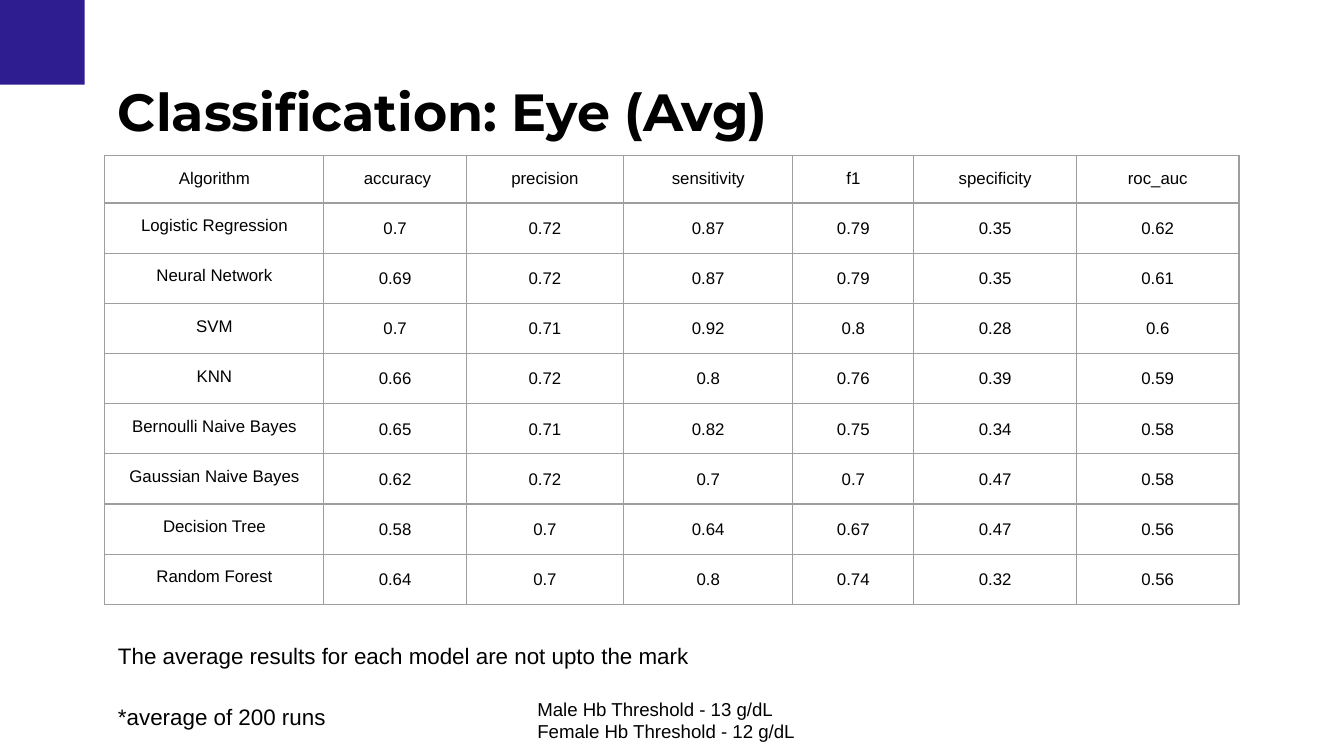
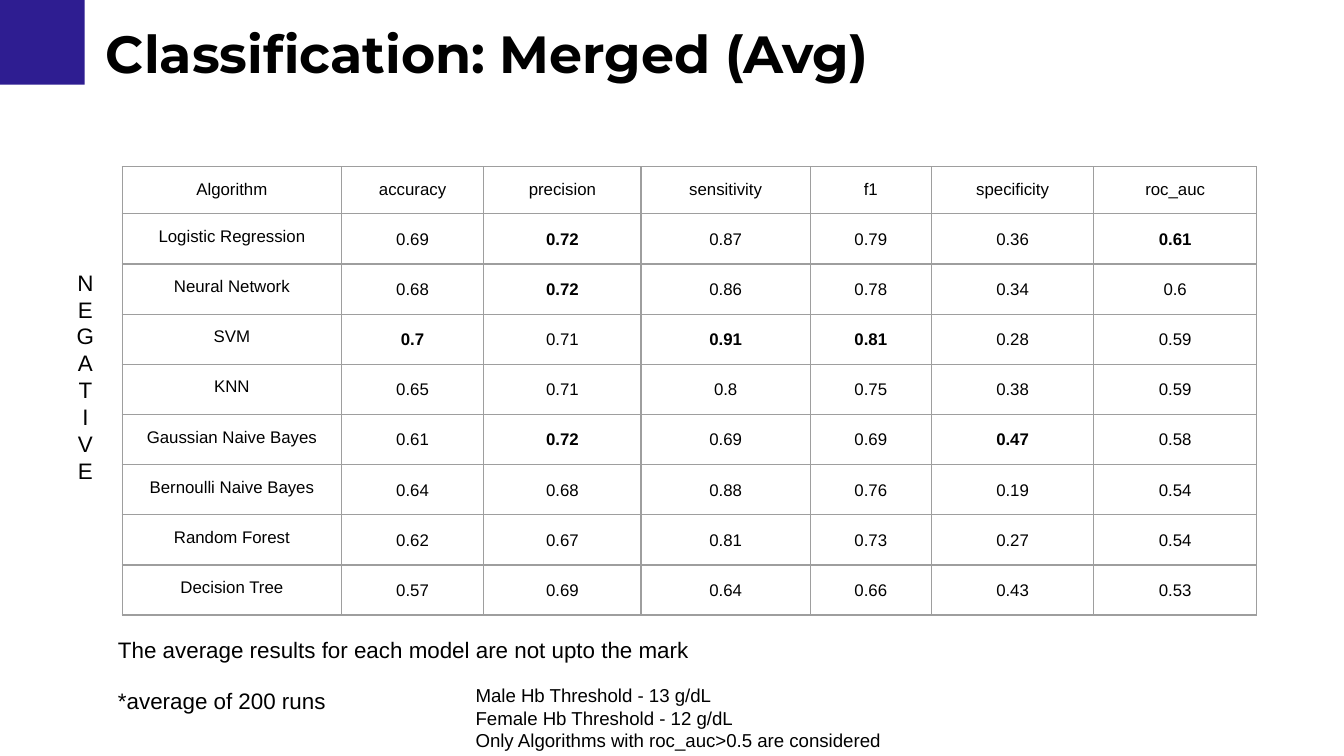
from lxml.etree import SubElement
from pptx import Presentation
from pptx.dml.color import RGBColor
from pptx.enum.shapes import MSO_SHAPE
from pptx.enum.text import MSO_ANCHOR, MSO_AUTO_SIZE, PP_ALIGN
from pptx.oxml.ns import qn
from pptx.util import Inches, Pt

HEADER = ["Algorithm", "accuracy", "precision", "sensitivity", "f1", "specificity", "roc_auc"]
COL_WIDTHS = [1.63, 1.06, 1.17, 1.26, 0.9, 1.21, 1.21]

EYE_SCORES = [
    ["Logistic Regression", 0.7, 0.72, 0.87, 0.79, 0.35, 0.62],
    ["Neural Network", 0.69, 0.72, 0.87, 0.79, 0.35, 0.61],
    ["SVM", 0.7, 0.71, 0.92, 0.8, 0.28, 0.6],
    ["KNN", 0.66, 0.72, 0.8, 0.76, 0.39, 0.59],
    ["Bernoulli Naive Bayes", 0.65, 0.71, 0.82, 0.75, 0.34, 0.58],
    ["Gaussian Naive Bayes", 0.62, 0.72, 0.7, 0.7, 0.47, 0.58],
    ["Decision Tree", 0.58, 0.7, 0.64, 0.67, 0.47, 0.56],
    ["Random Forest", 0.64, 0.7, 0.8, 0.74, 0.32, 0.56],
]
MERGED_SCORES = [
    ["Logistic Regression", 0.69, 0.72, 0.87, 0.79, 0.36, 0.61],
    ["Neural Network", 0.68, 0.72, 0.86, 0.78, 0.34, 0.6],
    ["SVM", 0.7, 0.71, 0.91, 0.81, 0.28, 0.59],
    ["KNN", 0.65, 0.71, 0.8, 0.75, 0.38, 0.59],
    ["Gaussian Naive Bayes", 0.61, 0.72, 0.69, 0.69, 0.47, 0.58],
    ["Bernoulli Naive Bayes", 0.64, 0.68, 0.88, 0.76, 0.19, 0.54],
    ["Random Forest", 0.62, 0.67, 0.81, 0.73, 0.27, 0.54],
    ["Decision Tree", 0.57, 0.69, 0.64, 0.66, 0.43, 0.53],
]
THRESHOLDS = ["Male Hb Threshold - 13 g/dL", "Female Hb Threshold - 12 g/dL"]
SUMMARY = "The average results for each model are not upto the mark"
RUNS_NOTE = "*average of 200 runs"


def color(value):
    return RGBColor.from_string(value)


class Deck:
    ACCENT, INK, GRID = "2E1D91", "000000", "9E9E9E"
    TITLE_FONT, BODY_FONT = "Montserrat", "Arial"
    INSET = Inches(0.1)

    def __init__(self):
        self.prs = Presentation()
        # 16:9 page
        self.prs.slide_width = Inches(10)
        self.prs.slide_height = Inches(10) * 9 // 16
        self.slide = None

    def new_slide(self, title, x, y):
        self.slide = self.prs.slides.add_slide(self.prs.slide_layouts[6])
        # Corner square
        sp = self.slide.shapes.add_shape(MSO_SHAPE.RECTANGLE, 0, 0, Inches(0.63), Inches(0.63))
        sp.shadow.inherit = False
        sp.fill.solid()
        sp.fill.fore_color.rgb = color(self.ACCENT)
        sp.line.fill.background()
        # Title
        self.text([title], x, y, 8.44, 0.67, 28, font=self.TITLE_FONT, bold=True)

    def format(self, p, size, font=BODY_FONT, bold=False, align=None):
        p.alignment = align
        for r in p.runs:
            r.font.name, r.font.size, r.font.bold = font, Pt(size), bold
            r.font.color.rgb = color(self.INK)

    def set_insets(self, box):
        box.margin_left = box.margin_right = self.INSET
        box.margin_top = box.margin_bottom = self.INSET

    def text(self, lines, x, y, w, h, size=12, grow=True, **style):
        sp = self.slide.shapes.add_textbox(Inches(x), Inches(y), Inches(w), Inches(h))
        tf = sp.text_frame
        tf.word_wrap = True
        tf.auto_size = MSO_AUTO_SIZE.SHAPE_TO_FIT_TEXT if grow else MSO_AUTO_SIZE.NONE
        self.set_insets(tf)
        tf.text = "\n".join(lines)
        for p in tf.paragraphs:
            self.format(p, size, **style)

    def cell_border(self, cell):
        tc_pr = cell._tc.get_or_add_tcPr()
        for i, side in enumerate(("a:lnL", "a:lnR", "a:lnT", "a:lnB")):
            ln = SubElement(tc_pr, qn(side), w=str(Pt(0.75)))
            fill = SubElement(ln, qn("a:solidFill"))
            SubElement(fill, qn("a:srgbClr"), val=self.GRID)
            tc_pr.insert(i, ln)

    def score_table(self, header, scores, x, y, row_height, mark_best=False):
        rows = [header] + scores
        table = self.slide.shapes.add_table(
            len(rows), len(header), Inches(x), Inches(y),
            Inches(sum(COL_WIDTHS)), Inches(row_height * len(rows))).table
        table.first_row = table.horz_banding = False
        for column, width in zip(table.columns, COL_WIDTHS):
            column.width = Inches(width)
        for row in table.rows:
            row.height = Inches(row_height)
        best = [max(column) for column in zip(*scores)]

        for i, values in enumerate(rows):
            for j, value in enumerate(values):
                is_score = i > 0 and j > 0
                cell = table.cell(i, j)
                cell.fill.background()
                cell.vertical_anchor = MSO_ANCHOR.TOP
                self.set_insets(cell)
                self.cell_border(cell)
                p = cell.text_frame.paragraphs[0]
                p.text = str(value)
                bold = mark_best and is_score and value == best[j]
                self.format(p, 9, bold=bold, align=PP_ALIGN.CENTER)
                if is_score:
                    p.line_spacing = 1.15


def main():
    deck = Deck()

    # Eye results
    deck.new_slide("Classification: Eye (Avg)", 0.78, 0.49)
    eye_header = [" accuracy" if name == "accuracy" else name for name in HEADER]
    deck.score_table(eye_header, EYE_SCORES, 0.78, 1.16, 0.33)
    deck.text(THRESHOLDS, 3.9, 5.09, 2.2, 0.54, 10)
    deck.text([RUNS_NOTE], 0.78, 5.13, 1.76, 0.45, grow=False)
    deck.text([SUMMARY], 0.78, 4.68, 5.26, 0.4)

    # Merged results, best score of each column in bold
    deck.new_slide("Classification: Merged (Avg)", 0.69, 0.06)
    deck.score_table(HEADER, MERGED_SCORES, 0.91, 1.24, 0.35, mark_best=True)
    deck.text(list("NEGATIVE"), 0.44, 1.9, 0.39, 1.82, align=PP_ALIGN.CENTER)
    deck.text(THRESHOLDS + ["Only Algorithms with roc_auc>0.5 are considered"],
              3.44, 4.99, 3.38, 0.71, 10)
    deck.text([RUNS_NOTE], 0.78, 5.01, 1.76, 0.45, grow=False)
    deck.text([SUMMARY], 0.78, 4.63, 5.26, 0.4)

    deck.prs.save("out.pptx")


if __name__ == "__main__":
    main()
